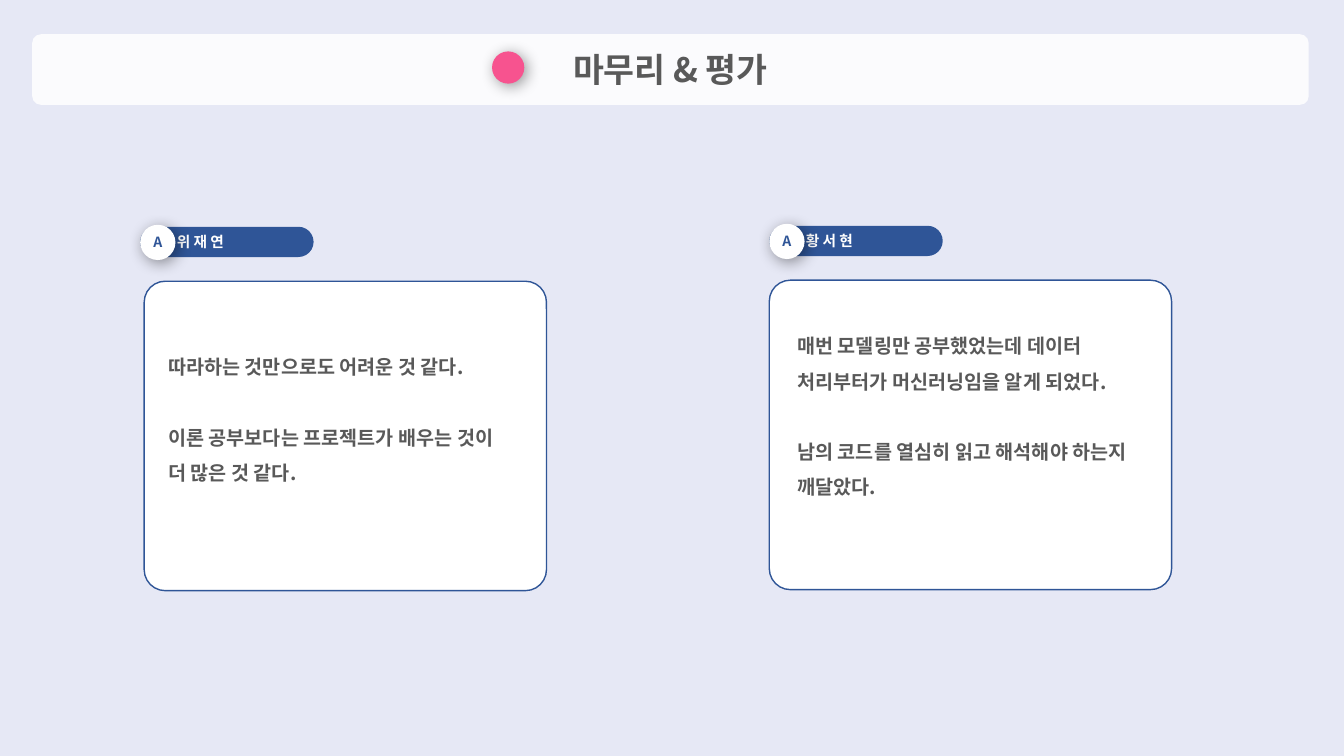
from pptx import Presentation, util as u
from pptx.dml.color import RGBColor
from pptx.enum import shapes, text
from pptx.oxml import parse_xml
from pptx.oxml.ns import nsdecls, qn

PX = 9144  # 100 px to the inch
FONT = "Noto Sans CJK KR"
NAVY, GREY, WHITE, PINK = "2F5597", "595959", "FFFFFF", "F7538F"
ROUND = shapes.MSO_SHAPE.ROUNDED_RECTANGLE
OVAL = shapes.MSO_SHAPE.OVAL
LEFT, MID = text.PP_ALIGN.LEFT, text.PP_ALIGN.CENTER

# Name tag x, frame x and y, text x and y, name, blocks of lines
CARDS = [
    (139, 143, 279, 157, 336, "위 재 연",
     [["따라하는 것만으로도 어려운 것 같다."],
      ["이론 공부보다는 프로젝트가 배우는 것이 더 많은 것 같다."]]),
    (763, 763, 278, 781, 315, "황 서 현",
     [["매번 모델링만 공부했었는데 데이터",
       "처리부터가 머신러닝임을 알게 되었다."],
      ["남의 코드를 열심히 읽고 해석해야 하는지 깨달았다."]]),
]


def px(*vals):
    return [u.Emu(v * PX) for v in vals]


def color(hexa):
    return RGBColor.from_string(hexa)


def assign(obj, vals):
    for key, val in vals.items():
        setattr(obj, key, val)


def write(par, words, size, hexa, **form):
    run = par.add_run()
    run.text = words
    assign(run.font, {"size": u.Pt(size), "bold": True, "name": FONT})
    run.font.color.rgb = color(hexa)
    # Korean letters take the East Asian font
    latin = run.font._element.find(qn("a:latin"))
    latin.addnext(parse_xml(f'<a:ea {nsdecls("a")} typeface="{FONT}"/>'))
    assign(par, form)


def shape(tree, kind, box, fill, line=None, adj=None):
    item = tree.add_shape(kind, *px(*box))
    item.shadow.inherit = False
    item.fill.solid()
    item.fill.fore_color.rgb = color(fill)
    if line:
        item.line.color.rgb = color(line)
        item.line.width = u.Pt(1)
    else:
        item.line.fill.background()
    if adj is not None:
        item.adjustments[0] = adj
    return item


def label(item, words, size, hexa, align=MID, inset=0):
    frame = item.text_frame
    assign(frame, {"word_wrap": True, "margin_left": px(inset)[0],
                   "margin_right": 0, "margin_top": 0, "margin_bottom": 0,
                   "vertical_anchor": text.MSO_ANCHOR.MIDDLE})
    write(frame.paragraphs[0], words, size, hexa, alignment=align)


def disc(tree, x, y, size, fill):
    item = shape(tree, OVAL, (x, y, size, size), fill)
    old = item._element.spPr.find(qn("a:effectLst"))
    old.append(parse_xml(
        f'<a:outerShdw {nsdecls("a")} blurRad="{u.Pt(11)}" '
        f'dist="{u.Pt(3)}" dir="2700000" algn="tl" rotWithShape="0">'
        '<a:srgbClr val="000000"><a:alpha val="40000"/></a:srgbClr>'
        '</a:outerShdw>'))
    return item


def tag(tree, x, y, name):
    group = tree.add_group_shape().shapes
    pill = shape(group, ROUND, (x, y, 172, 30), NAVY, adj=0.5)
    label(pill, name, 10.5, WHITE, LEFT, 32)
    label(disc(group, x, y - 2, 35, WHITE), "A", 10, NAVY)


def note(tree, x, y, blocks):
    high = 10 + 35 * (sum(map(len, blocks)) + 2)
    frame = tree.add_textbox(*px(x, y, 363, high)).text_frame
    frame.word_wrap = True
    par = frame.paragraphs[0]
    for b, lines in enumerate(blocks):
        for n, words in enumerate(lines):
            if b or n:
                par = frame.add_paragraph()
            gap = u.Pt(25 if b and not n else 0)
            write(par, words, 14, GREY, line_spacing=1.5, space_before=gap)


def card(tree, tagx, x, y, textx, texty, name, blocks):
    tag(tree, tagx, y - 54, name)
    shape(tree, ROUND, (x, y, 399, 307), WHITE, NAVY, 0.068)
    note(tree, textx, texty, blocks)


def main():
    deck = Presentation()
    deck.slide_width, deck.slide_height = px(1333, 750)
    slide = deck.slides.add_slide(deck.slide_layouts[6])
    back = slide.background.fill
    back.solid()
    back.fore_color.rgb = color("E6E8F5")
    tree = slide.shapes

    # Title bar
    bar = shape(tree, ROUND, (32, 34, 1266, 70), "FBFBFD", adj=0.121)
    label(bar, "마무리 & 평가", 24, GREY)

    # One card for each person
    for item in CARDS:
        card(tree, *item)

    # Dot beside the title
    disc(tree, 488, 51, 32, PINK)
    deck.save("out.pptx")


if __name__ == "__main__":
    main()
